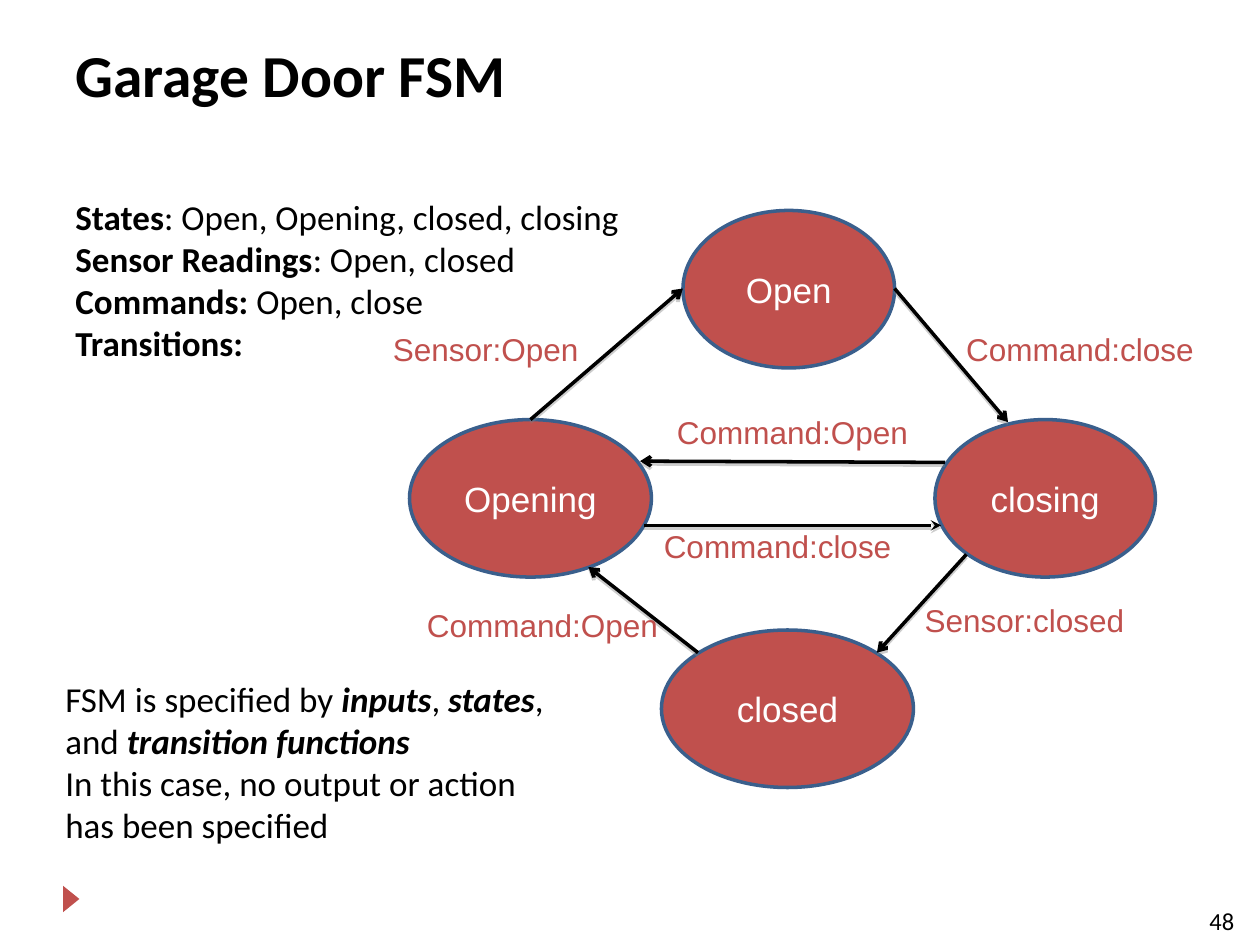
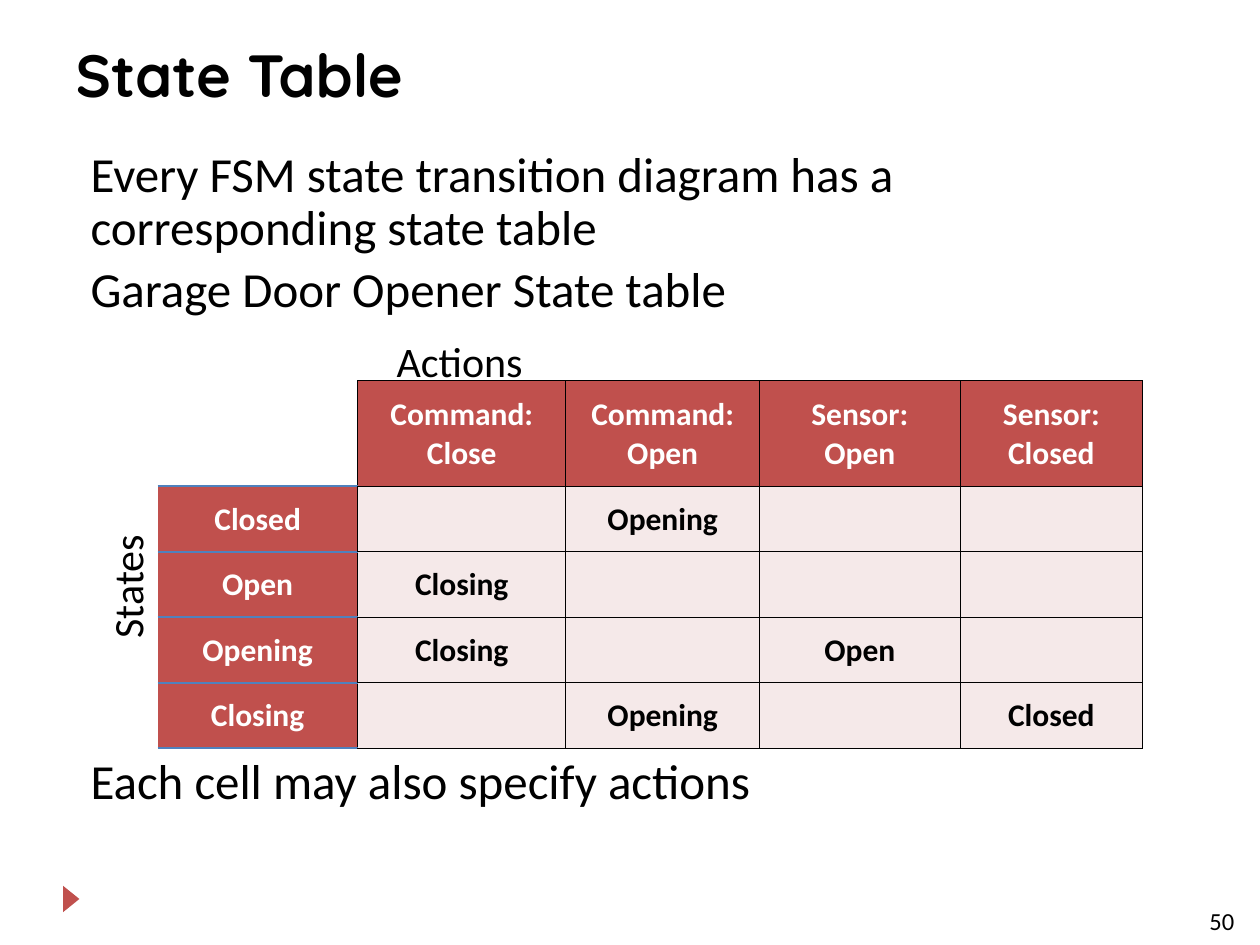
from lxml import etree
from pptx import Presentation
from pptx.dml.color import RGBColor
from pptx.enum import shapes, text
from pptx.oxml import parse_xml
from pptx.oxml.ns import nsdecls, qn
from pptx.util import Inches, Pt

COLORS = {
    "red": "C0504D",
    "outline": "3A5F8C",
    "rule": "4F81BD",
    "cell": "F5E9E9",
    "black": "000000",
    "white": "FFFFFF",
    "shadow": "808080",
}
BODY_FONT = "Calibri"
DIAGRAM_FONT = "Arial"
LEFT, CENTER = text.PP_ALIGN.LEFT, text.PP_ALIGN.CENTER


def rgb(name):
    return RGBColor.from_string(COLORS[name])


def box(values):
    """Turn left, top, width and height in inches into lengths."""
    return [Inches(value) for value in values]


def format_run(run, size, font=BODY_FONT, color="black", style=""):
    """Format a run; style holds b for bold and i for italic."""
    run.font.name = font
    run.font.size = Pt(size)
    run.font.color.rgb = rgb(color)
    run.font.bold = "b" in style
    run.font.italic = "i" in style


def write(frame, paragraphs, size, font=BODY_FONT, color="black", align=LEFT):
    """Fill a frame; each paragraph is a list of (text, style) runs."""
    frame.word_wrap = True
    for index, runs in enumerate(paragraphs):
        paragraph = frame.add_paragraph() if index else frame.paragraphs[0]
        paragraph.alignment = align
        for words, style in runs:
            run = paragraph.add_run()
            run.text = words
            format_run(run, size, font, color, style)


def add_text(slide, at, paragraphs, size, **options):
    shape = slide.shapes.add_textbox(*box(at))
    write(shape.text_frame, paragraphs, size, **options)
    return shape


def add_titled_slide(presentation, title, number, title_font=BODY_FONT):
    slide = presentation.slides.add_slide(presentation.slide_layouts[5])
    shape = slide.shapes.title
    shape.left, shape.top, shape.width, shape.height = box((0.5, 0.25, 9, 1))
    shape.text_frame.auto_size = text.MSO_AUTO_SIZE.NONE
    shape.text_frame.vertical_anchor = text.MSO_ANCHOR.TOP
    write(shape.text_frame, [[(title, "b")]], 34, font=title_font)

    marker = slide.shapes.add_shape(
        shapes.MSO_SHAPE.ISOSCELES_TRIANGLE, *box((0.46, 7.07, 0.21, 0.13)))
    marker.rotation = 90
    marker.shadow.inherit = False
    marker.fill.solid()
    marker.fill.fore_color.rgb = rgb("red")
    marker.line.fill.background()

    add_text(slide, (9.5, 7.14, 0.45, 0.25), [[(number, "")]], 14)
    return slide


def add_state(slide, name, at):
    shape = slide.shapes.add_shape(shapes.MSO_SHAPE.OVAL, *box(at))
    shape.shadow.inherit = False
    shape.fill.solid()
    shape.fill.fore_color.rgb = rgb("red")
    shape.line.color.rgb = rgb("outline")
    shape.line.width = Pt(2)
    shape.text_frame.vertical_anchor = text.MSO_ANCHOR.MIDDLE
    write(shape.text_frame, [[(name, "")]], 20,
          font=DIAGRAM_FONT, color="white", align=CENTER)
    return shape


def add_arrow(slide, start, end, head="arrow"):
    arrow = slide.shapes.add_connector(
        shapes.MSO_CONNECTOR.STRAIGHT, *box(start + end))
    arrow.line.color.rgb = rgb("black")
    arrow.line.width = Pt(2)
    etree.SubElement(arrow.line._get_or_add_ln(), qn("a:tailEnd"), type=head)
    arrow._element.spPr.append(parse_xml(
        f'<a:effectLst {nsdecls("a")}>'
        f'<a:outerShdw blurRad="0" dist="{Pt(1.6)}" dir="5400000" rotWithShape="0">'
        f'<a:srgbClr val="{COLORS["shadow"]}"><a:alpha val="38000"/></a:srgbClr>'
        '</a:outerShdw></a:effectLst>'))
    return arrow


def add_transition_label(slide, words, at, align=LEFT):
    return add_text(slide, at, [[(words, "")]], 18,
                    font=DIAGRAM_FONT, color="red", align=align)


def set_borders(cell, **sides):
    """Set L, R, T and B borders as (colour, points); None hides a side."""
    properties = cell._tc.get_or_add_tcPr()
    for side in "LRTB":
        border = sides.get(side)
        line = etree.SubElement(properties, qn(f"a:ln{side}"))
        if border is None:
            etree.SubElement(line, qn("a:noFill"))
            continue
        color, points = border
        line.set("w", str(Pt(points)))
        fill = etree.SubElement(line, qn("a:solidFill"))
        etree.SubElement(fill, qn("a:srgbClr"), val=COLORS[color])


def add_state_table(slide, at, widths, heights, rows):
    table = slide.shapes.add_table(len(rows), len(widths), *box(at)).table
    table.first_row = table.horz_banding = False
    for column, width in zip(table.columns, widths):
        column.width = Inches(width)
    for row, height in zip(table.rows, heights):
        row.height = Inches(height)

    thin, thick = ("black", 0.5), ("rule", 1.5)
    for row_index, row in enumerate(rows):
        for column_index, words in enumerate(row):
            cell = table.cell(row_index, column_index)
            is_header = row_index == 0 or column_index == 0
            if column_index:
                set_borders(cell, L=thin, R=thin, T=thin, B=thin)
            else:
                set_borders(cell, R=thin, T=thick if row_index else None, B=thick)
            if row_index == column_index == 0:
                cell.fill.background()
            else:
                cell.fill.solid()
                cell.fill.fore_color.rgb = rgb("red" if is_header else "cell")
            cell.vertical_anchor = text.MSO_ANCHOR.MIDDLE
            cell.margin_left = cell.margin_top = cell.margin_right = Inches(0.01)
            cell.margin_bottom = 0
            cell.text = words
            paragraph = cell.text_frame.paragraphs[0]
            paragraph.alignment = CENTER
            for run in paragraph.runs:
                format_run(run, 18, color="white" if is_header else "black", style="b")


def add_statements(slide, at, statements):
    shape = add_text(slide, at, [[(words, "")] for words in statements], 28)
    for index, paragraph in enumerate(shape.text_frame.paragraphs):
        paragraph.line_spacing = 0.9
        if index:
            paragraph.space_before = Pt(5.6)


def build_garage_door_slide(presentation):
    slide = add_titled_slide(presentation, "Garage Door FSM", "48")
    add_text(slide, (0.42, 5.33, 4.14, 1.45), [
        [("FSM is specified by ", ""), ("inputs", "bi"), (", ", ""),
         ("states", "bi"), (", and ", ""), ("transition functions", "bi")],
        [("In this case, no output or action has been specified", "")],
    ], 20)
    add_text(slide, (0.5, 1.5, 5.08, 1.45), [
        [("States", "b"), (": Open, Opening, closed, closing", "")],
        [("Sensor Readings", "b"), (": Open, closed", "")],
        [("Commands: ", "b"), ("Open, close", "")],
        [("Transitions:", "b")],
    ], 20)

    opening = add_state(slide, "Opening", (3.25, 3.33, 1.92, 1.25))
    add_state(slide, "Open", (5.42, 1.67, 1.68, 1.25))
    add_state(slide, "closed", (5.25, 5, 2, 1.25))
    add_state(slide, "closing", (7.42, 3.33, 1.75, 1.25))

    for start, end in (
        ((7.1, 2.29), (8, 3.35)),
        ((7.67, 4.4), (6.96, 5.18)),
        ((5.54, 5.18), (4.67, 4.5)),
        ((7.5, 3.67), (5.08, 3.66)),
    ):
        add_arrow(slide, start, end)
    opened = add_arrow(slide, (4.21, 3.33), (5.42, 2.29))
    opened.begin_connect(opening, 0)

    add_transition_label(slide, "Command:Open", (5.08, 3.23, 2.42, 0.4), CENTER)
    reversal = add_transition_label(slide, "Command:close", (5.17, 4.13, 2.17, 0.4))
    reversal.fill.solid()
    reversal.fill.fore_color.rgb = rgb("white")
    for words, at in (
        ("Sensor:Open", (3.02, 2.57, 2, 0.4)),
        ("Sensor:closed", (7.24, 4.72, 2.42, 0.4)),
        ("Command:Open", (3.29, 4.76, 2.42, 0.4)),
        ("Command:close", (7.57, 2.57, 2.42, 0.4)),
    ):
        add_transition_label(slide, words, at)
    add_arrow(slide, (5.11, 4.17), (7.47, 4.17), head="stealth")


def build_state_table_slide(presentation):
    slide = add_titled_slide(presentation, "State Table", "50", "Quicksand")
    add_statements(slide, (0.62, 1.14, 8.75, 1.45), [
        "Every FSM state transition diagram has a corresponding state table",
        "Garage Door Opener State table",
    ])
    add_statements(slide, (0.62, 5.96, 8.75, 0.6),
                   ["Each cell may also specify actions"])
    add_state_table(
        slide, (1.25, 3.02, 7.82, 2.92),
        widths=(1.59, 1.65, 1.54, 1.59, 1.45),
        heights=[0.84] + [0.52] * 4,
        rows=(
            ("", "Command: Close", "Command: Open", "Sensor:\vOpen", "Sensor: Closed"),
            ("Closed", "", "Opening", "", ""),
            ("Open", "Closing", "", "", ""),
            ("Opening", "Closing", "", "Open", ""),
            ("Closing", "", "Opening", "", "Closed"),
        ))
    states = add_text(slide, (0.42, 4.33, 1.17, 0.5), [[("States", "")]], 24)
    states.rotation = 270
    add_text(slide, (3.05, 2.61, 1.67, 0.5), [[("Actions", "")]], 24)


def main():
    presentation = Presentation()
    presentation.slide_width = Inches(10)
    presentation.slide_height = Inches(7.5)
    build_garage_door_slide(presentation)
    build_state_table_slide(presentation)
    presentation.save("out.pptx")


if __name__ == "__main__":
    main()
